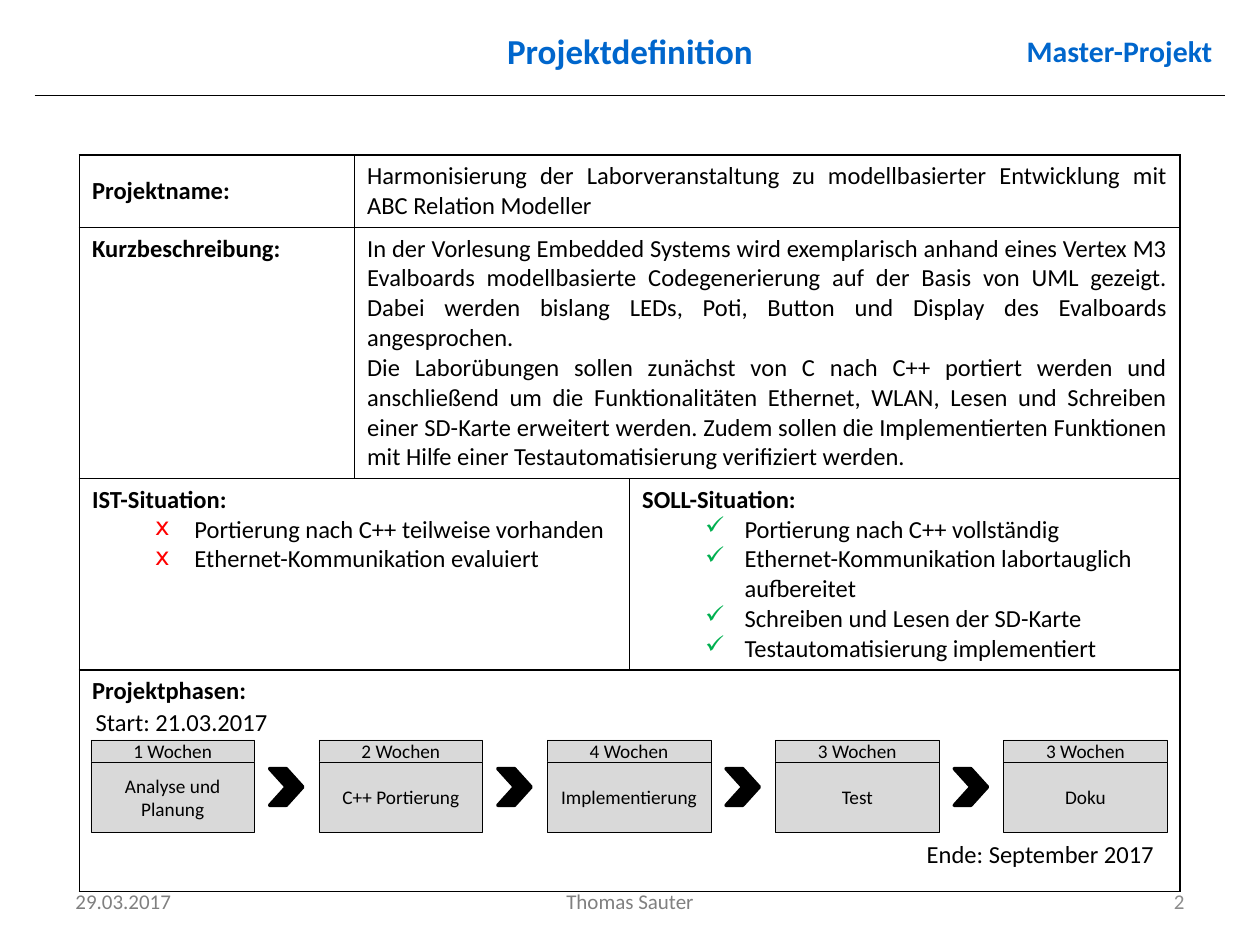
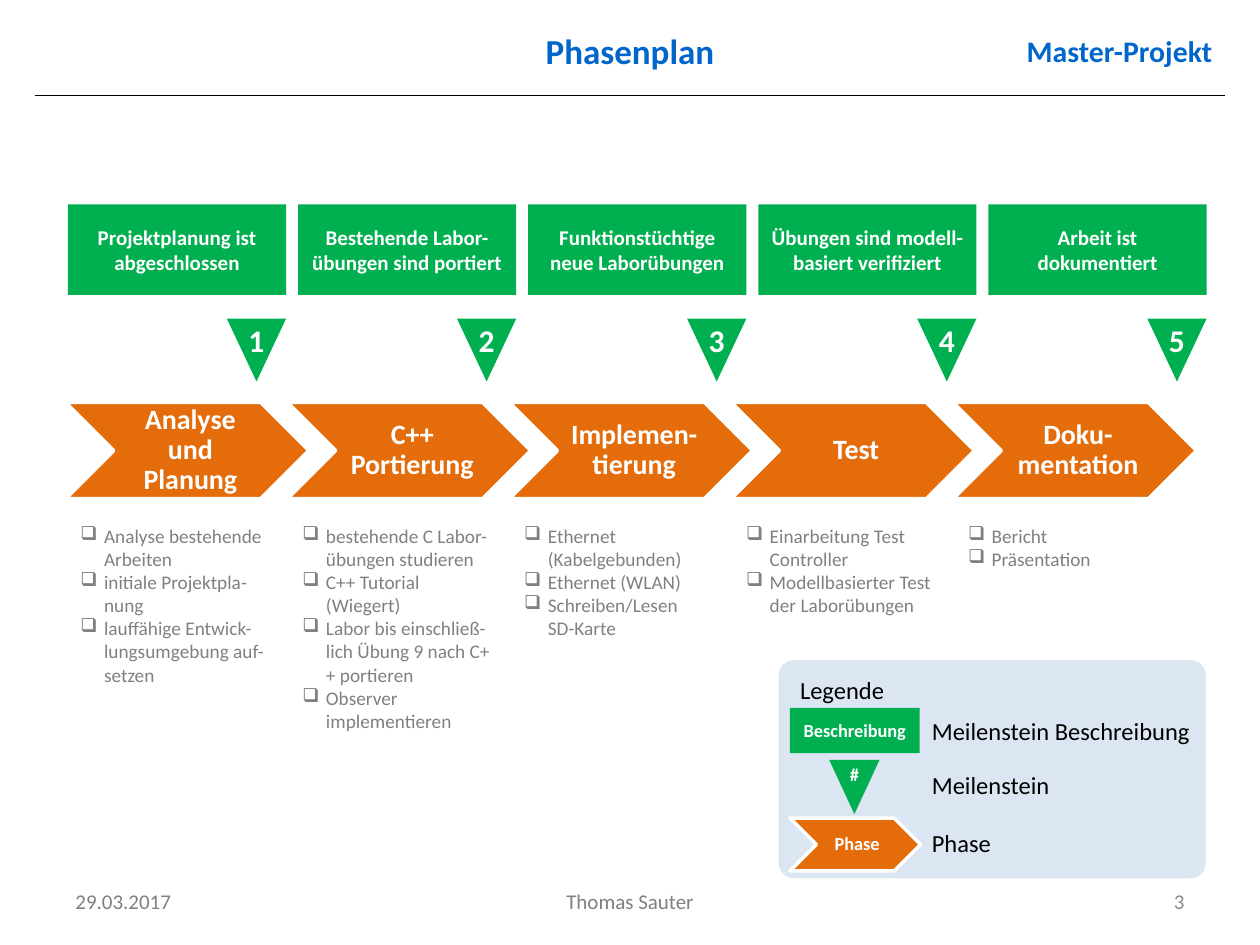
"""Build the project definition and phase plan slides."""
import dataclasses

import lxml.etree
import pptx
import pptx.dml.color
import pptx.enum.shapes
import pptx.enum.text
import pptx.oxml.ns
import pptx.util

Pt = pptx.util.Pt
Color = pptx.dml.color.RGBColor.from_string
Shape = pptx.enum.shapes.MSO_SHAPE
Align = pptx.enum.text.PP_ALIGN
Anchor = pptx.enum.text.MSO_ANCHOR
qn = pptx.oxml.ns.qn


@dataclasses.dataclass(frozen=True)
class Theme:
    font: str = "Calibri"
    blue: str = "0066CC"
    black: str = "000000"
    white: str = "FFFFFF"
    gray: str = "808080"
    number_gray: str = "8C8C8C"
    box_gray: str = "D9D9D9"
    green: str = "00B050"
    orange: str = "E46C0A"
    red: str = "FF0000"
    legend_blue: str = "DCE6F2"
    title: float = 20
    label: float = 17
    body: float = 14
    small: float = 12
    detail: float = 11
    legend: float = 10.5
    milestone: float = 18
    phase: float = 16


@dataclasses.dataclass(frozen=True)
class Bullet:
    mark: str
    color: str
    left: float
    hang: float


class Painter:
    def __init__(self, deck, theme):
        self.deck = deck
        self.theme = theme
        self.page = None

    def start_page(self, title, number):
        theme = self.theme
        self.page = self.deck.slides.add_slide(self.deck.slide_layouts[5])
        box = self.page.shapes.title
        box.left, box.top, box.width, box.height = map(Pt, (153, 14.4, 414, 28.8))
        self.fill_frame(box.text_frame, [title], theme.title, theme.blue, True, Align.CENTER, Anchor.MIDDLE)
        self.text((575.3, 13, 124.6, 31.7), ["Master-Projekt"], theme.label, theme.blue, True,
                  Align.RIGHT, Anchor.MIDDLE)
        self.rule(19.8, 54.7, 700.2)
        footers = (
            (36, 168, "29.03.2017", theme.gray, Align.LEFT),
            (246, 228, "Thomas Sauter", theme.gray, Align.CENTER),
            (516, 168, str(number), theme.number_gray, Align.RIGHT),
        )
        for left, width, words, color, align in footers:
            self.text((left, 500.4, width, 28.8), [words], theme.small, color, False, align, Anchor.MIDDLE)

    def fill_frame(self, frame, lines, size, color, bold=False, align=Align.LEFT, anchor=Anchor.TOP,
                   margins=(7.2, 3.6, 7.2, 3.6), wrap=True, bullet=None, spacing=None):
        frame.word_wrap = wrap
        frame.auto_size = pptx.enum.text.MSO_AUTO_SIZE.NONE
        frame.vertical_anchor = anchor
        frame.margin_left, frame.margin_top, frame.margin_right, frame.margin_bottom = map(Pt, margins)
        for index, line in enumerate(lines):
            para = frame.paragraphs[0] if index == 0 else frame.add_paragraph()
            self.fill_para(para, line, size, color, bold, align, bullet, spacing)

    def fill_para(self, para, line, size, color, bold=False, align=Align.LEFT, bullet=None, spacing=None):
        para.alignment = align
        if spacing:
            para.line_spacing = spacing
        for index, part in enumerate(line.split("\n")):
            if index:
                para.add_line_break()
            span = para.add_run()
            span.text = part
            span.font.name = self.theme.font
            span.font.size = Pt(size)
            span.font.bold = bold
            span.font.color.rgb = Color(color)
        if bullet:
            self.mark_bullet(para, bullet)

    def mark_bullet(self, para, bullet):
        props = para._p.get_or_add_pPr()
        props.set("marL", str(Pt(bullet.left)))
        props.set("indent", str(-Pt(bullet.hang)))
        tint = lxml.etree.SubElement(props, qn("a:buClr"))
        lxml.etree.SubElement(tint, qn("a:srgbClr"), val=bullet.color)
        lxml.etree.SubElement(props, qn("a:buChar"), char=bullet.mark)

    def text(self, place, lines, *style, **options):
        box = self.page.shapes.add_textbox(*map(Pt, place))
        self.fill_frame(box.text_frame, lines, *style, **options)

    def shape(self, kind, place, fill, line=None, weight=0.25):
        box = self.page.shapes.add_shape(kind, *map(Pt, place))
        box.shadow.inherit = False
        box.fill.solid()
        box.fill.fore_color.rgb = Color(fill)
        if line:
            box.line.color.rgb = Color(line)
            box.line.width = Pt(weight)
        else:
            box.line.fill.background()
        return box

    def label_box(self, place, words, fill, size, color, bold=False, line=None, margins=(7.2, 0, 7.2, 0)):
        box = self.shape(Shape.RECTANGLE, place, fill, line)
        self.fill_frame(box.text_frame, [words], size, color, bold, Align.CENTER, Anchor.MIDDLE, margins)

    def rule(self, left, top, right):
        line = self.page.shapes.add_connector(
            pptx.enum.shapes.MSO_CONNECTOR.STRAIGHT, Pt(left), Pt(top), Pt(right), Pt(top))
        line.line.color.rgb = Color(self.theme.black)
        line.line.width = Pt(0.75)
        lxml.etree.SubElement(line._element.spPr, qn("a:effectLst"))

    def milestone(self, place, words, size, drop):
        left, top, width, height = place
        self.shape(Shape.ISOSCELES_TRIANGLE, place, self.theme.green).rotation = 180
        self.text((left, top - drop, width, height), [words], size, self.theme.white, True,
                  Align.CENTER, wrap=False, margins=(0, 3.6, 0, 0))

    def phase(self, place, words, size, inset):
        left, top, width, height = place
        self.shape(Shape.CHEVRON, place, self.theme.orange, self.theme.white, 2)
        self.text((left + height / 2, top, width - height, height), [words], size, self.theme.white, True,
                  Align.CENTER, Anchor.MIDDLE, (inset, 1.4, 1.4, 1.4), spacing=0.9)

    def table(self, left, top, widths, heights):
        frame = self.page.shapes.add_table(
            len(heights), len(widths), Pt(left), Pt(top), Pt(sum(widths)), Pt(sum(heights)))
        grid = frame.table
        grid.first_row = grid.horz_banding = False
        for column, width in zip(grid.columns, widths):
            column.width = Pt(width)
        for row, height in zip(grid.rows, heights):
            row.height = Pt(height)
        for cell in grid.iter_cells():
            self.border(cell)
            cell.fill.background()
        return grid

    def border(self, cell):
        props = cell._tc.get_or_add_tcPr()
        for side in ("a:lnL", "a:lnR", "a:lnT", "a:lnB"):
            edge = lxml.etree.SubElement(props, qn(side), w=str(Pt(1)))
            paint = lxml.etree.SubElement(edge, qn("a:solidFill"))
            lxml.etree.SubElement(paint, qn("a:srgbClr"), val=self.theme.black)

    def cell(self, cell, heading=None, lines=(), align=Align.LEFT, anchor=Anchor.TOP, bullet=None):
        theme = self.theme
        cell.vertical_anchor = anchor
        paras = cell.text_frame.paragraphs
        texts = ([heading] if heading else []) + list(lines)
        for index, words in enumerate(texts):
            para = paras[0] if index == 0 else cell.text_frame.add_paragraph()
            is_heading = bool(heading) and index == 0
            self.fill_para(para, words, theme.body, theme.black, is_heading, align,
                           None if is_heading else bullet)


def draw_definition(painter):
    theme = painter.theme
    painter.start_page("Projektdefinition", 2)
    grid = painter.table(45.4, 88.6, (157.2, 157.2, 314.6), (41.4, 143.4, 109.1, 126.5))
    for row, first, last in ((0, 1, 2), (1, 1, 2), (2, 0, 1), (3, 0, 2)):
        grid.cell(row, first).merge(grid.cell(row, last))
    painter.cell(grid.cell(0, 0), "Projektname:", anchor=Anchor.MIDDLE)
    painter.cell(grid.cell(0, 1), lines=[
        "Harmonisierung der Laborveranstaltung zu modellbasierter Entwicklung mit "
        "ABC Relation Modeller"], align=Align.JUSTIFY, anchor=Anchor.MIDDLE)
    painter.cell(grid.cell(1, 0), "Kurzbeschreibung:")
    painter.cell(grid.cell(1, 1), lines=[
        "In der Vorlesung Embedded Systems wird exemplarisch anhand eines Vertex M3 Evalboards "
        "modellbasierte Codegenerierung auf der Basis von UML gezeigt. Dabei werden bislang LEDs, "
        "Poti, Button und Display des Evalboards angesprochen.",
        "Die Laborübungen sollen zunächst von C nach C++ portiert werden und anschließend um die "
        "Funktionalitäten Ethernet, WLAN, Lesen und Schreiben einer SD-Karte erweitert werden. Zudem "
        "sollen die Implementierten Funktionen mit Hilfe einer Testautomatisierung verifiziert werden.",
    ], align=Align.JUSTIFY, anchor=Anchor.MIDDLE)
    painter.cell(grid.cell(2, 0), "IST-Situation:", [
        "Portierung nach C++ teilweise vorhanden",
        "Ethernet-Kommunikation evaluiert",
    ], bullet=Bullet("x", theme.red, 58.5, 22.5))
    painter.cell(grid.cell(2, 2), "SOLL-Situation:", [
        "Portierung nach C++ vollständig",
        "Ethernet-Kommunikation labortauglich aufbereitet",
        "Schreiben und Lesen der SD-Karte",
        "Testautomatisierung implementiert",
    ], bullet=Bullet("✓", theme.green, 58.5, 22.5))
    painter.cell(grid.cell(3, 0), "Projektphasen:")

    steps = (
        ("1 Wochen", "Analyse und Planung"),
        ("2 Wochen", "C++ Portierung"),
        ("4 Wochen", "Implementierung"),
        ("3 Wochen", "Test"),
        ("3 Wochen", "Doku"),
    )
    for index, (duration, name) in enumerate(steps):
        left = 51.9 + 130.4 * index
        for top, height, words in ((422.8, 12.6, duration), (435.4, 40.2, name)):
            painter.label_box((left, top, 93.6, height), words, theme.box_gray, theme.detail,
                              theme.black, line=theme.black)
        if index < len(steps) - 1:
            painter.shape(Shape.CHEVRON, (left + 102.2, 439.2, 19, 21), theme.black, theme.black, 2)
    dates = ((51.8, 400.5, "Start: 21.03.2017", Align.LEFT), (501.8, 475.9, "Ende: September 2017", Align.RIGHT))
    for left, top, words, align in dates:
        painter.text((left, top, 160.6, 24.5), [words], theme.body, theme.black, False, align,
                     margins=(2.9, 3.6, 2.9, 3.6))


def draw_plan(painter):
    theme = painter.theme
    painter.start_page("Phasenplan", 3)
    stages = (
        ("Projektplanung ist abgeschlossen", "Analyse und Planung",
         ["Analyse bestehende Arbeiten", "initiale Projektpla-nung",
          "lauffähige Entwick-lungsumgebung auf-setzen"]),
        ("Bestehende Labor-übungen sind portiert", "C++ Portierung",
         ["bestehende C Labor-übungen studieren", "C++ Tutorial (Wiegert)",
          "Labor bis einschließ-lich Übung 9 nach C++ portieren", "Observer implementieren"]),
        ("Funktionstüchtige neue Laborübungen", "Implemen-tierung",
         ["Ethernet (Kabelgebunden)", "Ethernet (WLAN)", "Schreiben/Lesen\nSD-Karte"]),
        ("Übungen sind modell-basiert verifiziert", "Test",
         ["Einarbeitung Test Controller", "Modellbasierter Test der Laborübungen"]),
        ("Arbeit ist dokumentiert", "Doku-mentation", ["Bericht", "Präsentation"]),
    )
    box_bullet = Bullet("❑", theme.gray, 13.5, 13.5)
    for index, (goal, name, tasks) in enumerate(stages):
        left = 38.8 + 131.5 * index
        phase_left = 36 + 126.8 * index
        painter.label_box((left, 116.8, 124.7, 51.8), goal, theme.green, theme.small, theme.white, True)
        painter.milestone((left + 90.8, 182, 33.9, 36), str(index + 1), theme.milestone, 2)
        painter.phase((phase_left + 1.5, 230, 139, 55), name, theme.phase, 5)
        painter.text((phase_left + 2.9, 296, 124.6, 127), tasks, theme.detail, theme.gray, bullet=box_bullet)

    panel = painter.shape(Shape.ROUNDED_RECTANGLE, (445, 377.2, 244, 124.7), theme.legend_blue)
    panel.adjustments[0] = 0.07
    painter.fill_frame(panel.text_frame, ["Legende"], theme.body, theme.black, margins=(9.6, 6, 7.2, 3.6))
    painter.label_box((451.4, 404.5, 74.2, 25.9), "Beschreibung", theme.green, theme.legend,
                      theme.white, True)
    painter.milestone((473.8, 434.2, 28.8, 31), "#", theme.legend, 1.5)
    painter.phase((451.4, 467.5, 74.7, 30.2), "Phase", theme.legend, 3.6)
    for top, words in ((405.4, "Meilenstein Beschreibung"), (436.5, "Meilenstein"), (469.6, "Phase")):
        painter.text((525.4, top, 163.4, 24.5), [words], theme.body, theme.black, wrap=False)


def main():
    deck = pptx.Presentation()
    deck.slide_width, deck.slide_height = Pt(720), Pt(540)
    painter = Painter(deck, Theme())
    draw_definition(painter)
    draw_plan(painter)
    deck.save("out.pptx")


if __name__ == "__main__":
    main()
